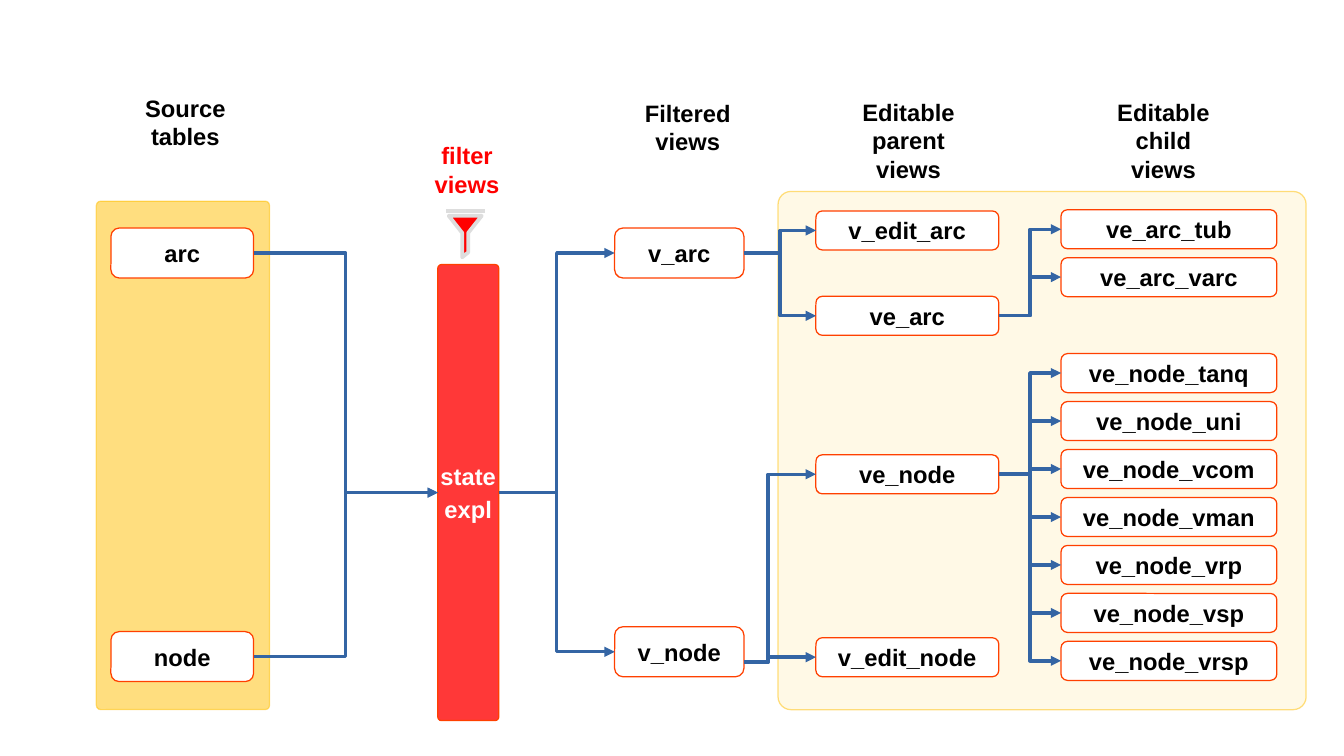
from lxml import etree
from pptx import Presentation
from pptx import util as u
from pptx.dml.color import RGBColor
from pptx.enum import shapes, text
from pptx.oxml.ns import qn

WIDTH, HEIGHT = 11.02, 6.2
BLACK = RGBColor(0x00, 0x00, 0x00)
WHITE = RGBColor(0xFF, 0xFF, 0xFF)
RED = RGBColor(0xFF, 0x00, 0x00)
BAR_RED = RGBColor(0xFF, 0x38, 0x38)
ORANGE = RGBColor(0xFF, 0x40, 0x00)
AMBER = RGBColor(0xFF, 0xBF, 0x00)
CREAM = RGBColor(0xFF, 0xF5, 0xCE)
BLUE = RGBColor(0x34, 0x65, 0xA4)
GREY = RGBColor(0xDD, 0xDD, 0xDD)

deck = Presentation()
deck.slide_width, deck.slide_height = u.Inches(WIDTH), u.Inches(HEIGHT)
page = deck.slides.add_slide(deck.slide_layouts[6])


def write(box, lines, color, gap=0):
    """Set centred bold lines, one paragraph each, in a shape or text box."""
    frame = box.text_frame
    frame.text = "\n".join(lines)
    for para in frame.paragraphs:
        para.alignment = text.PP_ALIGN.CENTER
        para.space_after = u.Pt(gap)
        for span in para.runs:
            look = {"name": "Arial", "size": u.Pt(14), "bold": True}
            for name, value in look.items():
                setattr(span.font, name, value)
            span.font.color.rgb = color


def add_box(left, top, width, height, lines=(), fill=WHITE, line=ORANGE,
            corner=0.167, ink=BLACK, gap=0):
    box = page.shapes.add_shape(
        shapes.MSO_SHAPE.ROUNDED_RECTANGLE,
        *(u.Inches(length) for length in (left, top, width, height)))
    box.shadow.inherit = False
    box.adjustments[0] = corner
    box.fill.solid()
    box.fill.fore_color.rgb = fill
    box.line.color.rgb = line
    box.line.width = 0
    box.text_frame.word_wrap = False
    box.text_frame.vertical_anchor = text.MSO_ANCHOR.MIDDLE
    if lines:
        write(box, lines, ink, gap)
    return box


# Half-transparent panels behind the columns
panels = [
    add_box(0.79, 1.65, 1.42, 4.17, fill=AMBER, line=AMBER, corner=0.025),
    add_box(6.38, 1.57, 4.33, 4.25, fill=CREAM, line=AMBER, corner=0.025),
]
for panel in panels:
    for color in panel._element.spPr.iter(qn("a:srgbClr")):
        etree.SubElement(color, qn("a:alpha"), val="50000")

# Columns: left, width, height, then the top of each box
columns = [
    (0.91, 1.17, 0.41, {"arc": 1.87, "node": 5.18}),
    (5.04, 1.06, 0.41, {"v_arc": 1.87, "v_node": 5.14}),
    (6.69, 1.5, 0.32, {"v_edit_arc": 1.73, "ve_arc": 2.43,
                       "ve_node": 3.73, "v_edit_node": 5.23}),
]
# The child column has ten equal rows, the third left free
CHILD_TOP, CHILD_LAST = 1.72, 5.26
CHILD_STEP = (CHILD_LAST - CHILD_TOP) / 9
arc_children = ["ve_arc_tub", "ve_arc_varc"]
node_children = ["ve_node_tanq", "ve_node_uni", "ve_node_vcom", "ve_node_vman",
                 "ve_node_vrp", "ve_node_vsp", "ve_node_vrsp"]
child_rows = arc_children + [None] + node_children
columns.append((8.7, 1.77, 0.32, {
    name: CHILD_TOP + row * CHILD_STEP
    for row, name in enumerate(child_rows) if name}))

boxes = {}
for left, width, height, tops in columns:
    for name, top in tops.items():
        boxes[name] = add_box(left, top, width, height, [name])
boxes["state"] = add_box(3.59, 2.17, 0.5, 3.74, ["state", "expl"], fill=BAR_RED,
                         corner=0.06, ink=WHITE, gap=2.8)

# Headings: centre, top, colour, lines
headings = [
    (1.52, 0.72, BLACK, ["Source", "tables"]),
    (3.83, 1.11, RED, ["filter", "views"]),
    (5.64, 0.76, BLACK, ["Filtered", "views"]),
    (7.45, 0.75, BLACK, ["Editable", "parent", "views"]),
    (9.54, 0.75, BLACK, ["Editable", "child", "views"]),
]
HEADING_WIDTH = 1.04
for centre, top, color, lines in headings:
    heading = page.shapes.add_textbox(
        u.Inches(centre - HEADING_WIDTH / 2), u.Inches(top),
        u.Inches(HEADING_WIDTH), u.Inches(0.1 + 0.23 * len(lines)))
    heading.text_frame.word_wrap = True
    heading.text_frame.margin_left = heading.text_frame.margin_right = 0
    write(heading, lines, color)

# Funnel, in hundredths of an inch
builder = page.shapes.build_freeform(368, 177, scale=u.Inches(0.01))
builder.add_line_segments(
    [(379, 191), (379, 211), (384, 207), (384, 191), (395, 177)], close=True)
funnel = builder.convert_to_shape()
funnel.shadow.inherit = False
funnel.fill.solid()
funnel.fill.fore_color.rgb = RED
rim = page.shapes.add_connector(
    shapes.MSO_CONNECTOR.STRAIGHT,
    u.Inches(3.66), u.Inches(1.73), u.Inches(3.98), u.Inches(1.73))
for part in (funnel, rim):
    part.line.color.rgb = GREY
    part.line.width = u.Pt(2.25)
etree.SubElement(rim._element.spPr, qn("a:effectLst"))

# Flow between the boxes
flows = {
    "arc": ["state"],
    "node": ["state"],
    "state": ["v_arc", "v_node"],
    "v_arc": ["v_edit_arc", "ve_arc"],
    "v_node": ["v_edit_node", "ve_node"],
    "ve_arc": arc_children,
    "ve_node": node_children,
}
for source, targets in flows.items():
    for target in targets:
        arrow = page.shapes.add_connector(
            shapes.MSO_CONNECTOR.ELBOW, u.Inches(6.1), u.Inches(5.43), 0, 0)
        arrow.end_connect(boxes[target], 1)
        if source == "v_node":  # leaves below the middle and turns early
            guides = arrow._element.spPr.find(qn("a:prstGeom")).find(qn("a:avLst"))
            etree.SubElement(guides, qn("a:gd"), name="adj1", fmla="val 33333")
        else:
            arrow.begin_connect(boxes[source], 3)
        arrow.line.color.rgb = BLUE
        arrow.line.width = 0
        stroke = arrow.line._get_or_add_ln()
        etree.SubElement(stroke, qn("a:tailEnd"), type="triangle")
        etree.SubElement(arrow._element.spPr, qn("a:effectLst"))

deck.save("out.pptx")
